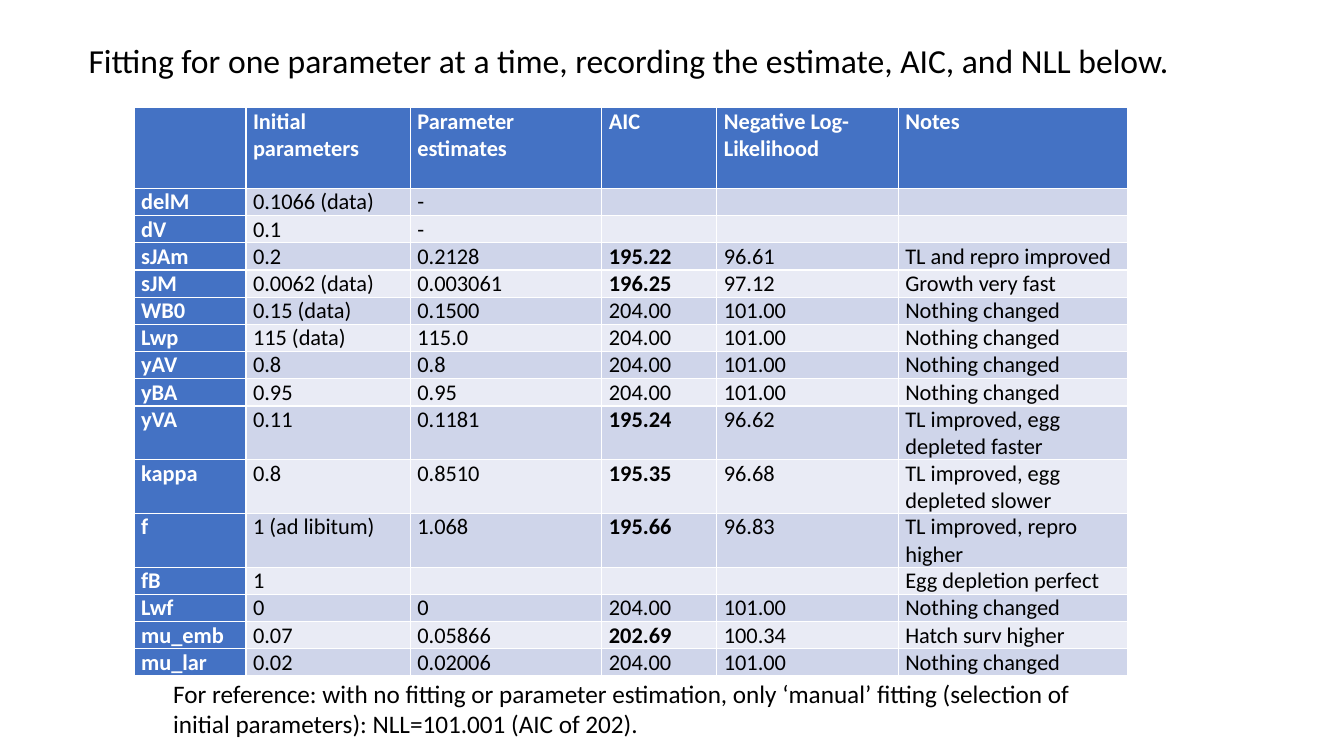
"""Build a slide tabulating parameter fits made one parameter at a time."""
from dataclasses import dataclass

from lxml import etree
from pptx import Presentation
from pptx import util as u
from pptx.dml.color import RGBColor
from pptx.enum import text
from pptx.oxml.ns import qn

TITLE = "Fitting for one parameter at a time, recording the estimate, AIC, and NLL below."
REFERENCE = (
    "For reference: with no fitting or parameter estimation, only ‘manual’ fitting "
    "(selection of initial parameters): NLL=101.001 (AIC of 202)."
)
HEADER = ("", "Initial parameters", "Parameter estimates", "AIC", "Negative Log-Likelihood", "Notes")
UNCHANGED = ("204.00", "101.00", "Nothing changed")
FITS = [
    ("delM", "0.1066 (data)", "-", "", "", ""),
    ("dV", "0.1", "-", "", "", ""),
    ("sJAm", "0.2", "0.2128", "195.22", "96.61", "TL and repro improved"),
    ("sJM", "0.0062 (data)", "0.003061", "196.25", "97.12", "Growth very fast"),
    ("WB0", "0.15 (data)", "0.1500", *UNCHANGED),
    ("Lwp", "115 (data)", "115.0", *UNCHANGED),
    ("yAV", "0.8", "0.8", *UNCHANGED),
    ("yBA", "0.95", "0.95", *UNCHANGED),
    ("yVA", "0.11", "0.1181", "195.24", "96.62", "TL improved, egg depleted faster"),
    ("kappa", "0.8", "0.8510", "195.35", "96.68", "TL improved, egg depleted slower"),
    ("f", "1 (ad libitum)", "1.068", "195.66", "96.83", "TL improved, repro higher"),
    ("fB", "1", "", "", "", "Egg depletion perfect"),
    ("Lwf", "0", "0", *UNCHANGED),
    ("mu_emb", "0.07", "0.05866", "202.69", "100.34", "Hatch surv higher"),
    ("mu_lar", "0.02", "0.02006", *UNCHANGED),
]
COLUMN_WIDTHS = (1.11, 1.63, 1.9, 1.14, 1.8, 2.27)
HEADER_HEIGHT, LINE_HEIGHT, TWO_LINE_HEIGHT = 0.8, 0.27, 0.53
NOTE_LINE_LENGTH = 22
AIC_COLUMN = HEADER.index("AIC")


@dataclass(frozen=True)
class Theme:
    font: str = "Calibri"
    ink: str = "000000"
    light: str = "FFFFFF"
    heading: str = "4472C4"
    bands: tuple = ("CFD5EA", "E9EBF5")
    title_size: int = 24
    reference_size: int = 18
    table_size: int = 16


THEME = Theme()


def style_paragraph(paragraph, size, color, bold=False):
    font = paragraph.font
    font.name, font.size, font.bold = THEME.font, u.Pt(size), bold
    font.color.rgb = RGBColor.from_string(color)


def add_text(slide, box, content, size):
    shape = slide.shapes.add_textbox(*map(u.Inches, box))
    frame = shape.text_frame
    frame.word_wrap = True
    frame.auto_size = text.MSO_AUTO_SIZE.SHAPE_TO_FIT_TEXT
    frame.vertical_anchor = text.MSO_ANCHOR.MIDDLE
    frame.text = content
    style_paragraph(frame.paragraphs[0], size, THEME.ink)


def fill_cell(cell, content, row, column):
    is_heading = row == 0 or column == 0
    is_improved = column == AIC_COLUMN and content not in ("", UNCHANGED[0])
    cell.margin_left = cell.margin_right = u.Inches(0.07)
    cell.margin_top = cell.margin_bottom = 0
    cell.fill.solid()
    background = THEME.heading if is_heading else THEME.bands[(row - 1) % 2]
    cell.fill.fore_color.rgb = RGBColor.from_string(background)
    cell.text = content
    paragraph = cell.text_frame.paragraphs[0]
    style_paragraph(
        paragraph, THEME.table_size, THEME.light if is_heading else THEME.ink, is_heading or is_improved
    )
    if not content:
        etree.SubElement(paragraph._p, qn("a:endParaRPr"), sz=str(THEME.table_size * 100))


def add_fit_table(slide, left, top):
    rows = [HEADER, *FITS]
    heights = [HEADER_HEIGHT] + [
        TWO_LINE_HEIGHT if len(fit[-1]) > NOTE_LINE_LENGTH else LINE_HEIGHT for fit in FITS
    ]
    box = (left, top, sum(COLUMN_WIDTHS), sum(heights))
    table = slide.shapes.add_table(len(rows), len(HEADER), *map(u.Inches, box)).table
    table.first_col = True
    for column, width in zip(table.columns, COLUMN_WIDTHS):
        column.width = u.Inches(width)
    for row, height in zip(table.rows, heights):
        row.height = u.Inches(height)
    for row, contents in enumerate(rows):
        for column, content in enumerate(contents):
            fill_cell(table.cell(row, column), content, row, column)


def main():
    presentation = Presentation()
    presentation.slide_width, presentation.slide_height = u.Inches(13.33), u.Inches(7.5)
    slide = presentation.slides.add_slide(presentation.slide_layouts[6])
    add_text(slide, (0.78, 0.35, 11.33, 0.5), TITLE, THEME.title_size)
    add_text(slide, (1.62, 6.67, 9.64, 0.71), REFERENCE, THEME.reference_size)
    add_fit_table(slide, 1.33, 1.07)
    presentation.save("out.pptx")


if __name__ == "__main__":
    main()
